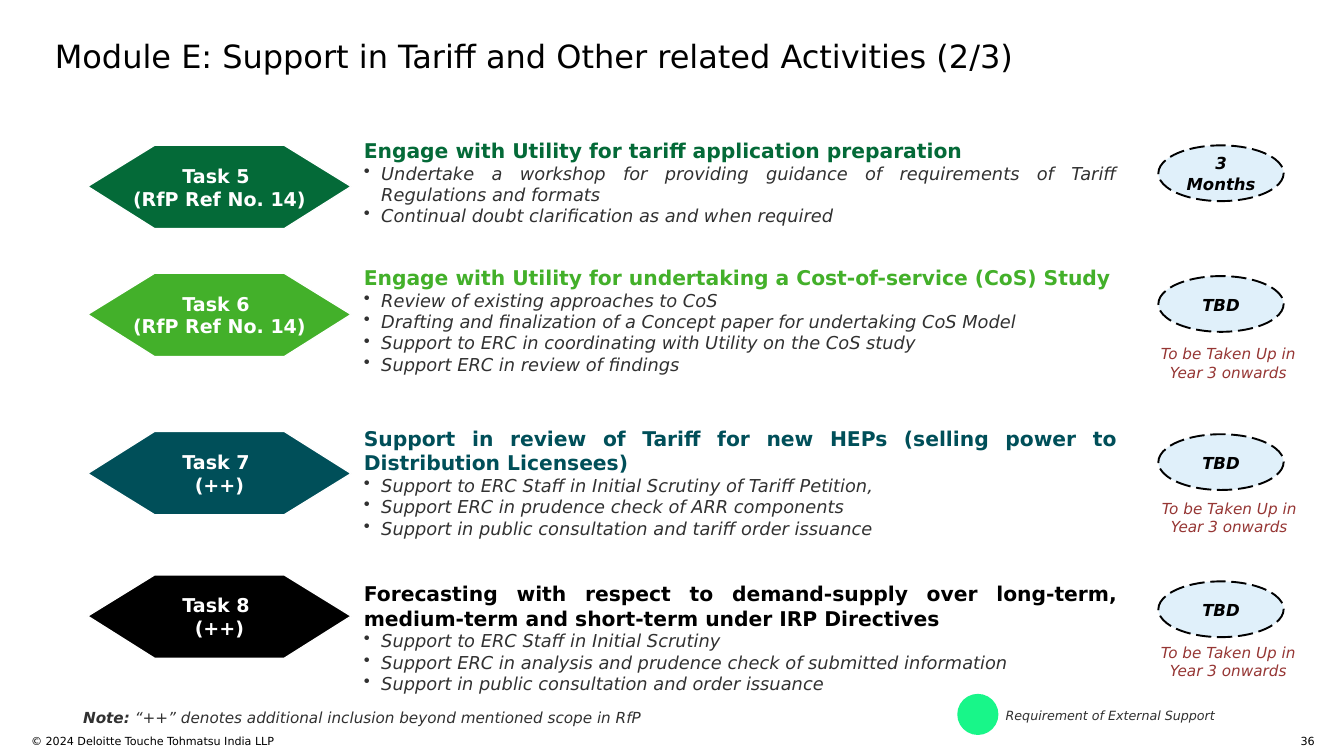
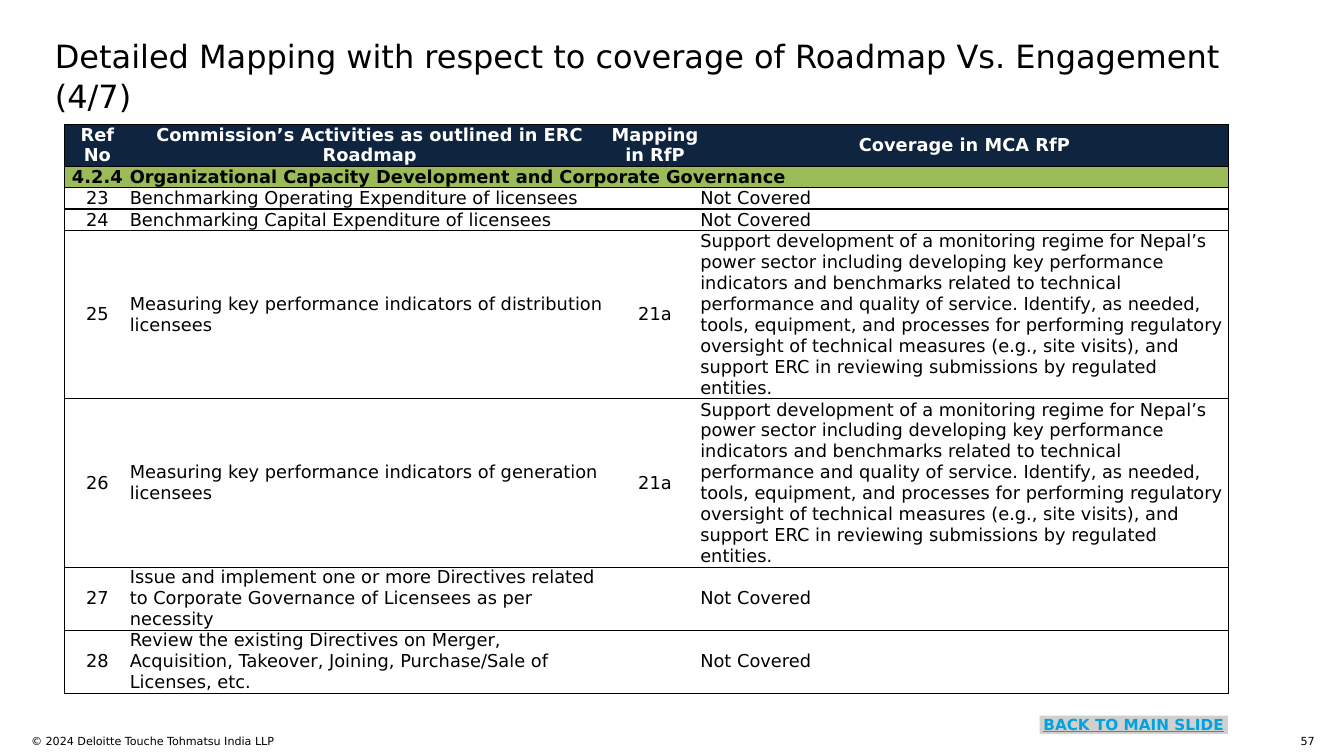
from lxml import etree
from pptx import Presentation
from pptx import util as u
from pptx.dml.color import RGBColor
from pptx.enum import dml, shapes, text
from pptx.oxml import ns

PX = 9144
FONT = "DejaVu Sans"
COLORS = {
    "ink": "000000", "body": "313131", "white": "FFFFFF", "forest": "046A38",
    "green": "43B02A", "teal": "004F59", "pale": "E0F0FA", "mint": "18F689",
    "maroon": "963634", "navy": "0F243E", "olive": "9BBB59", "grey": "D0D0CE",
    "link": "00A3E0",
}
LEFT, CENTER, RIGHT, JUSTIFY = (
    text.PP_ALIGN.LEFT, text.PP_ALIGN.CENTER, text.PP_ALIGN.RIGHT, text.PP_ALIGN.JUSTIFY)
TOP, MIDDLE = text.MSO_ANCHOR.TOP, text.MSO_ANCHOR.MIDDLE
NO_TABLE_STYLE = "{2D5ABB26-0587-4C30-8999-92F81FD0307C}"

FROM_YEAR_3 = "To be Taken Up in Year 3 onwards"
TASKS = [
    dict(label="Task 5 ", ref="(RfP Ref No. 14)", color="forest",
         tops=(159, 151, 159), duration="3 Months", later=None,
         heading="Engage with Utility for tariff application preparation",
         points=["Undertake a workshop for providing guidance of requirements of Tariff "
                 "Regulations and formats",
                 "Continual doubt clarification as and when required"]),
    dict(label="Task 6 ", ref="(RfP Ref No. 14)", color="green",
         tops=(299, 290, 302), duration="TBD", later=(1257, 372),
         heading="Engage with Utility for undertaking a Cost-of-service (CoS) Study",
         points=["Review of existing approaches to CoS",
                 "Drafting and finalization of a Concept paper for undertaking CoS Model",
                 "Support to ERC in coordinating with Utility on the CoS study",
                 "Support ERC in review of findings"]),
    dict(label="Task 7 ", ref="(++)", color="teal",
         tops=(472, 466, 475), duration="TBD", later=(1258, 541),
         heading="Support in review of Tariff for new HEPs (selling power to "
                 "Distribution Licensees)",
         points=["Support to ERC Staff in Initial Scrutiny of Tariff Petition,",
                 "Support ERC in prudence check of ARR components",
                 "Support in public consultation and tariff order issuance"]),
    dict(label="Task 8 ", ref="(++)", color="ink",
         tops=(629, 636, 636), duration="TBD", later=(1257, 699),
         heading="Forecasting with respect to demand-supply over long-term, "
                 "medium-term and short-term under IRP Directives",
         points=["Support to ERC Staff in Initial Scrutiny",
                 "Support ERC in analysis and prudence check of submitted information",
                 "Support in public consultation and order issuance"]),
]

MONITORING = (
    "Support development of a monitoring regime for Nepal’s power sector including "
    "developing key performance indicators and benchmarks related to technical "
    "performance and quality of service. Identify, as needed, tools, equipment, and "
    "processes for performing regulatory oversight of technical measures (e.g., site "
    "visits), and support ERC in reviewing submissions by regulated entities.")
COLUMN_WIDTHS = [71, 525, 99, 578]
LINE_HEIGHT = 23
ROW_LINES = [2, 1, 1, 1, 8, 8, 3, 3]
MAPPING = [
    ["Ref No", "Commission’s Activities as outlined in ERC Roadmap",
     "Mapping in RfP", "Coverage in MCA RfP"],
    ["4.2.4", "Organizational Capacity Development and Corporate Governance", "", ""],
    ["23", "Benchmarking Operating Expenditure of licensees", "", "Not Covered"],
    ["24", "Benchmarking Capital Expenditure of licensees", "", "Not Covered"],
    ["25", "Measuring key performance indicators of distribution licensees",
     "21a", MONITORING],
    ["26", "Measuring key performance indicators of generation licensees",
     "21a", MONITORING],
    ["27", "Issue and implement one or more Directives related to Corporate Governance "
           "of Licensees as per necessity", "", "Not Covered"],
    ["28", "Review the existing Directives on Merger, Acquisition, Takeover, Joining, "
           "Purchase/Sale of Licenses, etc.", "", "Not Covered"],
]


def px(*lengths):
    """Turn pixel lengths into EMU."""
    return [u.Emu(length * PX) for length in lengths]


def rgb(name):
    """Look up a palette colour."""
    return RGBColor.from_string(COLORS[name])


def set_frame(frame, insets=(0, 0, 0, 0), anchor=TOP):
    """Set wrapping, insets and anchor of a text frame."""
    frame.word_wrap = True
    frame.auto_size = text.MSO_AUTO_SIZE.NONE
    frame.vertical_anchor = anchor
    (frame.margin_left, frame.margin_top,
     frame.margin_right, frame.margin_bottom) = px(*insets)
    return frame


def write(frame, words, size=14, color="ink", bold=False, italic=False,
          underline=False, align=LEFT, spacing=None, bullet=False, join=False):
    """Write a paragraph, or join a span to the last one."""
    para = frame.paragraphs[-1]
    if para.runs and not join:
        para = frame.add_paragraph()
    if bullet:
        props = para._p.get_or_add_pPr()
        props.set("marL", str(19 * PX))
        props.set("indent", str(-19 * PX))
        etree.SubElement(props, ns.qn("a:buChar")).set("char", "•")
    para.alignment = align
    if spacing:
        para.line_spacing = spacing
    if not words:
        para._p.get_or_add_endParaRPr().set("sz", str(size * 100))
        return
    span = para.add_run()
    span.text = words
    font = span.font
    font.name, font.size = FONT, u.Pt(size)
    font.bold, font.italic, font.underline = bold, italic, underline
    font.color.rgb = rgb(color)


def add_text_box(page, left, top, width, height, insets=(0, 0, 0, 0)):
    """Add a wrapping text box and return its frame."""
    box = page.shapes.add_textbox(*px(left, top, width, height))
    return set_frame(box.text_frame, insets)


def paint(shape, fill, line=None, width=1):
    """Give a shape a flat fill and an optional line."""
    shape.shadow.inherit = False
    shape.fill.solid()
    shape.fill.fore_color.rgb = rgb(fill)
    if line:
        shape.line.color.rgb = rgb(line)
        shape.line.width = u.Pt(width)
    else:
        shape.line.fill.background()
    return shape


def add_page(deck, title, number):
    """Add a page with the shared title style and footer."""
    page = deck.slides.add_slide(deck.slide_layouts[5])
    holder = page.shapes.title
    holder.left, holder.top, holder.width, holder.height = px(60, 38, 1346, 51)
    write(set_frame(holder.text_frame), title, size=25.2, spacing=1.05)
    write(add_text_box(page, 34, 803, 646, 24),
          "© 2024 Deloitte Touche Tohmatsu India LLP", size=8.8)
    write(add_text_box(page, 1401, 803, 37, 12), str(number), size=8.8, align=RIGHT)
    return page


def add_hexagon(page, top, task):
    """Draw the pointed label of a task."""
    left, width, height, point = 96, 288, 91, 73
    builder = page.shapes.build_freeform(left + point, top + height, scale=PX)
    builder.add_line_segments([
        (left, top + height / 2), (left + point, top), (left + width - point, top),
        (left + width, top + height / 2), (left + width - point, top + height)])
    shape = paint(builder.convert_to_shape(), task["color"], "white")
    frame = set_frame(shape.text_frame, (10, 5, 10, 5), MIDDLE)
    for words in (task["label"], task["ref"]):
        write(frame, words, size=15, color="white", bold=True, align=CENTER)


def add_duration(page, top, words):
    """Draw the dashed oval with a task's duration."""
    oval = paint(page.shapes.add_shape(
        shapes.MSO_SHAPE.OVAL, *px(1267, top, 137, 61)), "pale", "ink", 1.5)
    oval.line.dash_style = dml.MSO_LINE.LONG_DASH
    write(set_frame(oval.text_frame, (10, 10, 10, 10), MIDDLE), words,
          size=13, bold=True, italic=True, align=CENTER, spacing=1.06)


def add_task(page, task):
    """Lay out one task row."""
    label_top, text_top, oval_top = task["tops"]
    add_hexagon(page, label_top, task)
    frame = add_text_box(page, 398, text_top, 824, 125)
    write(frame, task["heading"], size=16, color=task["color"], bold=True, align=JUSTIFY)
    for point in task["points"]:
        write(frame, point, color="body", italic=True, align=JUSTIFY, bullet=True)
    add_duration(page, oval_top, task["duration"])
    if task["later"]:
        write(add_text_box(page, *task["later"], 173, 50, (10, 5, 10, 5)), FROM_YEAR_3,
              size=12, color="maroon", italic=True, align=CENTER)


def add_legend(page):
    """Add the note and the external support key."""
    note = add_text_box(page, 81, 770, 735, 30, (10, 5, 10, 5))
    write(note, "Note:", size=12, color="body", bold=True, italic=True)
    write(note, " “++” denotes additional inclusion beyond mentioned scope in RfP",
          size=12, color="body", italic=True, join=True)
    paint(page.shapes.add_shape(shapes.MSO_SHAPE.OVAL, *px(1047, 759, 45, 45)), "mint")
    write(add_text_box(page, 1100, 774, 284, 17), "Requirement of External Support",
          size=10, color="body", italic=True)


def set_borders(cell, sides):
    """Draw thin black lines on the named cell sides."""
    props = cell._tc.get_or_add_tcPr()
    for side in sides:
        line = etree.SubElement(props, ns.qn(f"a:ln{side}"), w=str(u.Pt(1)))
        fill = etree.SubElement(line, ns.qn("a:solidFill"))
        etree.SubElement(fill, ns.qn("a:srgbClr"), val=COLORS["ink"])


def add_mapping_table(page):
    """Add the table that maps activities to the RfP."""
    frame = page.shapes.add_table(
        len(MAPPING), len(COLUMN_WIDTHS),
        *px(71, 136, sum(COLUMN_WIDTHS), sum(ROW_LINES) * LINE_HEIGHT))
    table = frame.table
    table.horz_banding = table.first_row = False
    table._tbl.tblPr.find(ns.qn("a:tableStyleId")).text = NO_TABLE_STYLE
    for column, width in zip(table.columns, COLUMN_WIDTHS):
        column.width = px(width)[0]
    for row, lines in zip(table.rows, ROW_LINES):
        row.height = px(lines * LINE_HEIGHT)[0]
    table.cell(1, 1).merge(table.cell(1, 3))
    last = len(COLUMN_WIDTHS) - 1
    for r, row in enumerate(MAPPING):
        for c, words in enumerate(row):
            cell = table.cell(r, c)
            edges = ["L"] * (c == 0) + ["R"] * (c == last or (r, c) == (1, 1))
            set_borders(cell, edges + ["T", "B"])
            if r < 2:
                cell.fill.solid()
                cell.fill.fore_color.rgb = rgb(("navy", "olive")[r])
            else:
                cell.fill.background()
            cell.vertical_anchor = MIDDLE
            (cell.margin_left, cell.margin_top,
             cell.margin_right, cell.margin_bottom) = px(0, 0, 0, 0)
            write(cell.text_frame, words, color="ink" if r else "white", bold=r < 2,
                  align=CENTER if r == 0 or c in (0, 2) else LEFT)


def add_back_button(page):
    """Add the grey button back to the main slide."""
    button = paint(page.shapes.add_shape(
        shapes.MSO_SHAPE.RECTANGLE, *px(1137, 783, 206, 20)), "grey")
    write(set_frame(button.text_frame), "BACK TO MAIN SLIDE",
          size=12, color="link", bold=True, underline=True, align=CENTER)


def main():
    """Build and save the deck."""
    deck = Presentation()
    deck.slide_width, deck.slide_height = px(1470, 827)
    tasks_page = add_page(
        deck, "Module E: Support in Tariff and Other related Activities (2/3)", 36)
    for task in TASKS:
        add_task(tasks_page, task)
    add_legend(tasks_page)
    mapping_page = add_page(
        deck, "Detailed Mapping with respect to coverage of Roadmap Vs. Engagement (4/7)", 57)
    add_mapping_table(mapping_page)
    add_back_button(mapping_page)
    deck.save("out.pptx")


if __name__ == "__main__":
    main()
